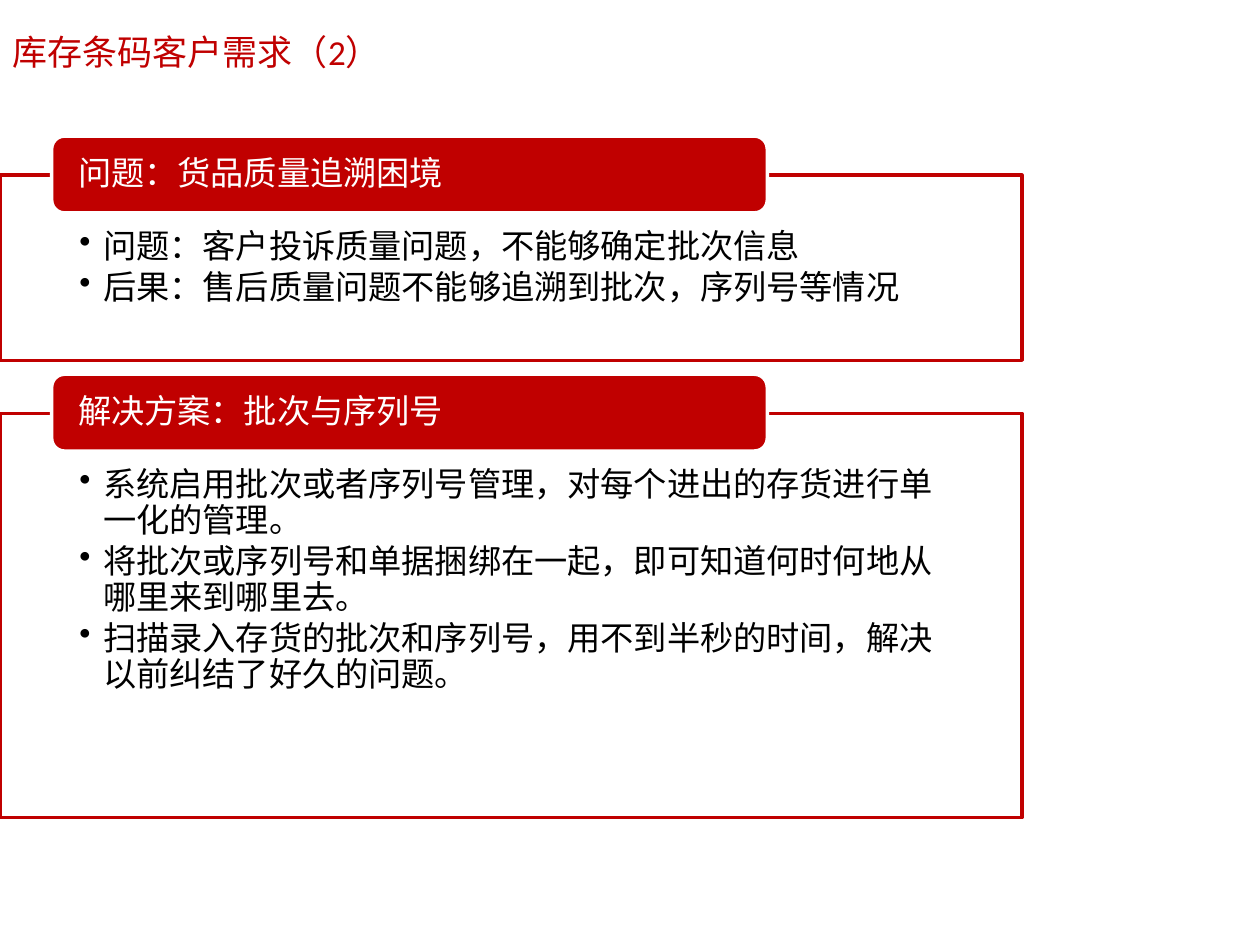
from lxml import etree
from pptx import Presentation
from pptx import util as u
from pptx.dml.color import RGBColor
from pptx.enum import shapes, text
from pptx.oxml.ns import qn


def rgb(value):
    return RGBColor.from_string(value)


class Deck:
    RED, WHITE, BLACK = "C00000", "FFFFFF", "000000"
    BODY_FONT, TITLE_FONT = "Noto Sans CJK SC", "Calibri"

    def __init__(self, slide):
        self.s = slide

    def fill_text(self, sp, lines, color, font, size, insets, anchor, spacing=None, bullet=False):
        tf = sp.text_frame
        tf.word_wrap = True
        tf.vertical_anchor = anchor
        tf.margin_left, tf.margin_top, tf.margin_right, tf.margin_bottom = map(u.Inches, insets)
        tf.text = "\n".join(lines)
        for p in tf.paragraphs:
            p.alignment = text.PP_ALIGN.LEFT
            if spacing:
                p.line_spacing = spacing
            if bullet:
                p.space_after = u.Pt(3)
                pPr = p._p.get_or_add_pPr()
                pPr.set("marL", str(u.Inches(0.19)))
                pPr.set("indent", str(u.Inches(-0.19)))
                etree.SubElement(pPr, qn("a:buChar")).set("char", "•")
            for r in p.runs:
                r.font.size = u.Pt(size)
                r.font.name = font
                r.font.color.rgb = rgb(color)
                if font == self.BODY_FONT:
                    etree.SubElement(r._r.get_or_add_rPr(), qn("a:ea")).set("typeface", font)

    def title(self, words, box):
        sp = self.s.shapes.add_textbox(*map(u.Inches, box))
        self.fill_text(sp, [words], self.RED, self.TITLE_FONT, 20,
                       (0.1, 0.05, 0.1, 0.05), text.MSO_ANCHOR.MIDDLE)

    def box(self, kind, box, fill, line):
        sp = self.s.shapes.add_shape(kind, *map(u.Inches, box))
        sp.shadow.inherit = False
        sp.fill.solid()
        sp.fill.fore_color.rgb = rgb(fill)
        sp.line.color.rgb = rgb(line)
        sp.line.width = u.Pt(2)
        return sp

    def section(self, heading, points, top, height):
        panel = self.box(shapes.MSO_SHAPE.RECTANGLE, (0, top, 8.11, height), self.WHITE, self.RED)
        self.fill_text(panel, points, self.BLACK, self.BODY_FONT, 19,
                       (0.63, 0.43, 0.63, 0.15), text.MSO_ANCHOR.TOP, 0.9, True)
        tab = self.box(shapes.MSO_SHAPE.ROUNDED_RECTANGLE, (0.41, top - 0.31, 5.68, 0.61),
                       self.RED, self.WHITE)
        self.fill_text(tab, [heading], self.WHITE, self.BODY_FONT, 19,
                       (0.18, 0, 0.18, 0), text.MSO_ANCHOR.MIDDLE, 0.9)


def main():
    prs = Presentation()
    prs.slide_width, prs.slide_height = u.Inches(10), u.Inches(7.5)
    deck = Deck(prs.slides.add_slide(prs.slide_layouts[6]))
    deck.section("问题：货品质量追溯困境", [
        "问题：客户投诉质量问题，不能够确定批次信息",
        "后果：售后质量问题不能够追溯到批次，序列号等情况",
    ], 1.39, 1.47)
    deck.section("解决方案：批次与序列号", [
        "系统启用批次或者序列号管理，对每个进出的存货进行单一化的管理。",
        "将批次或序列号和单据捆绑在一起，即可知道何时何地从哪里来到哪里去。",
        "扫描录入存货的批次和序列号，用不到半秒的时间，解决以前纠结了好久的问题。",
    ], 3.28, 3.21)
    deck.title("库存条码客户需求（2）", (0, 0.17, 8.08, 0.47))
    prs.save("out.pptx")


if __name__ == "__main__":
    main()
